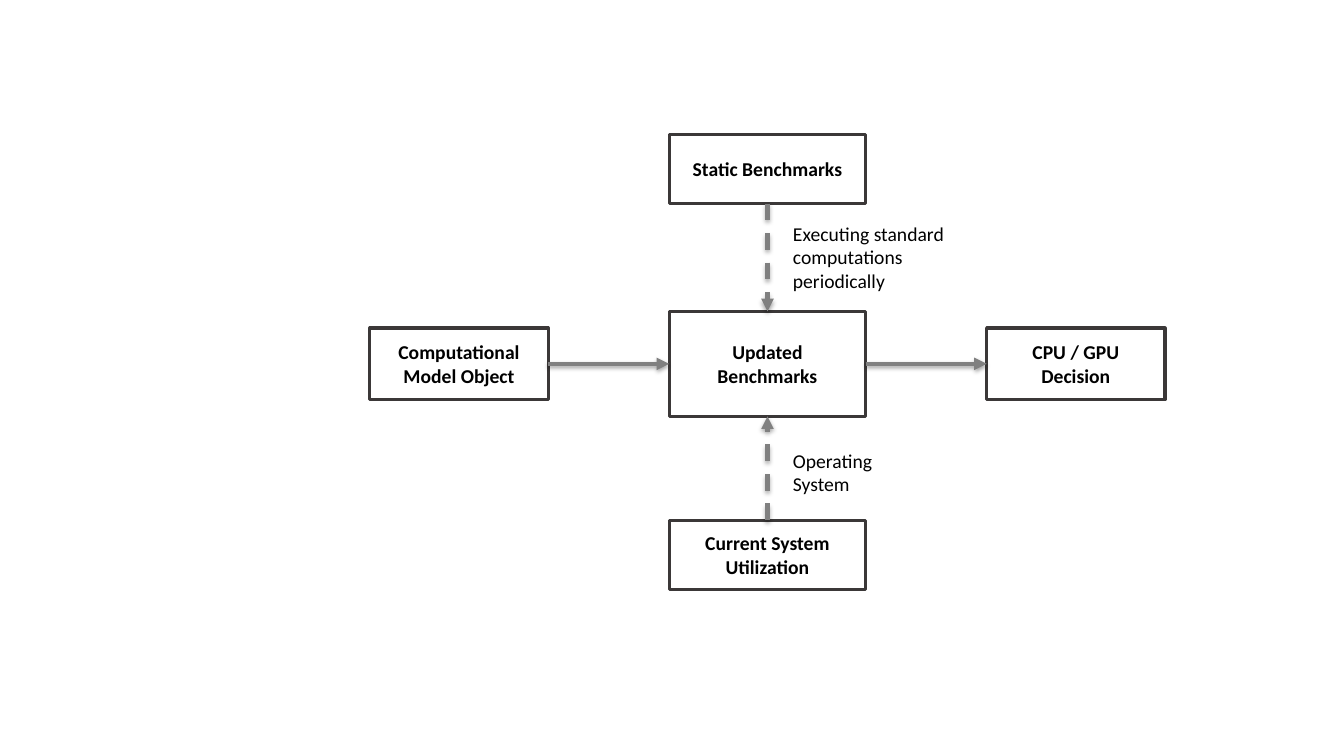
from lxml import etree
from pptx import Presentation
from pptx.dml.color import RGBColor
from pptx.enum.dml import MSO_LINE
from pptx.enum.shapes import MSO_CONNECTOR, MSO_SHAPE
from pptx.enum.text import MSO_ANCHOR, MSO_AUTO_SIZE, PP_ALIGN
from pptx.oxml import parse_xml
from pptx.oxml.ns import nsdecls, qn
from pptx.util import Pt

RECTANGLE = MSO_SHAPE.RECTANGLE
STRAIGHT = MSO_CONNECTOR.STRAIGHT
DASH = MSO_LINE.DASH
MIDDLE = MSO_ANCHOR.MIDDLE
CENTER = PP_ALIGN.CENTER
LEFT = PP_ALIGN.LEFT
FIT_SHAPE = MSO_AUTO_SIZE.SHAPE_TO_FIT_TEXT
TOP_SIDE, LEFT_SIDE, BOTTOM_SIDE, RIGHT_SIDE = range(4)

COLORS = {"paper": "FFFFFF", "outline": "3B3838", "arrow": "808080", "text": "000000"}
FONT = {"name": "Calibri", "size": Pt(14)}
MARGINS = {"margin_left": Pt(7.2), "margin_right": Pt(7.2),
           "margin_top": Pt(3.6), "margin_bottom": Pt(3.6)}

DIAGRAM = (264.2, 95.8, 568, 325.4)
HUB_RISE = 164.1
SIDE_SIZE = (127.4, 51.2)
HUB_SIZE = (140.4, 75)
END_SIZE = (140.4, 49.7)
LABEL_GAP = 11.1

SHADOW = f"""<a:effectLst {nsdecls('a')}>
<a:outerShdw blurRad="{Pt(3.1)}" dist="{Pt(1.8)}" dir="5400000" rotWithShape="0">
<a:srgbClr val="000000"><a:alpha val="35000"/></a:srgbClr>
</a:outerShdw></a:effectLst>"""


def color(name):
    return RGBColor.from_string(COLORS[name])


def apply_format(target, values):
    for name, value in values.items():
        setattr(target, name, value)


def write_text(shape, lines, alignment, bold):
    frame = shape.text_frame
    apply_format(frame, {"word_wrap": True, **MARGINS})
    frame.text = "\n".join(lines)
    for paragraph in frame.paragraphs:
        paragraph.alignment = alignment
        font = paragraph.runs[0].font
        apply_format(font, {**FONT, "bold": bold})
        font.color.rgb = color("text")


def add_node(slide, center_x, center_y, size, *lines):
    width, height = size
    shape = slide.shapes.add_shape(
        RECTANGLE, Pt(center_x - width / 2), Pt(center_y - height / 2), Pt(width), Pt(height))
    shape.shadow.inherit = False
    shape.fill.solid()
    shape.fill.fore_color.rgb = color("paper")
    shape.line.color.rgb = color("outline")
    shape.line.width = Pt(2.25)
    write_text(shape, lines, CENTER, True)
    shape.text_frame.vertical_anchor = MIDDLE
    return shape


def add_arrow(slide, start, start_side, end, end_side, dash=None):
    arrow = slide.shapes.add_connector(STRAIGHT, 0, 0, 0, 0)
    arrow.begin_connect(start, start_side)
    arrow.end_connect(end, end_side)
    arrow.line.color.rgb = color("arrow")
    apply_format(arrow.line, {"width": Pt(3), "dash_style": dash})
    properties = arrow.element.spPr
    etree.SubElement(properties.find(qn("a:ln")), qn("a:tailEnd"), type="triangle")
    properties.append(parse_xml(SHADOW))


def add_label(slide, left, top, width, height, text):
    label = slide.shapes.add_textbox(Pt(left), Pt(top), Pt(width), Pt(height))
    write_text(label, [text], LEFT, False)
    label.text_frame.auto_size = FIT_SHAPE


def add_decision_diagram(slide, left, top, width, height):
    center_x = left + width / 2
    hub_y = top + HUB_RISE
    side_width, end_height = SIDE_SIZE[0], END_SIZE[1]

    model = add_node(slide, left + side_width / 2, hub_y, SIDE_SIZE, "Computational Model Object")
    hub = add_node(slide, center_x, hub_y, HUB_SIZE, "Updated", "Benchmarks")
    static = add_node(slide, center_x, top + end_height / 2, END_SIZE, "Static Benchmarks")
    current = add_node(slide, center_x, top + height - end_height / 2, END_SIZE,
                       "Current System Utilization")
    decision = add_node(slide, left + width - side_width / 2, hub_y, SIDE_SIZE,
                        "CPU / GPU", "Decision")

    add_arrow(slide, model, RIGHT_SIDE, hub, LEFT_SIDE)
    add_arrow(slide, static, BOTTOM_SIDE, hub, TOP_SIDE, DASH)
    add_arrow(slide, current, TOP_SIDE, hub, BOTTOM_SIDE, DASH)
    add_arrow(slide, hub, RIGHT_SIDE, decision, LEFT_SIDE)

    label_left = center_x + LABEL_GAP
    add_label(slide, label_left, top + 59, 128.2, 74.2,
              "Executing standard computations periodically")
    add_label(slide, label_left, top + 221, 93.6, 40.4, "Operating System")


def main():
    presentation = Presentation()
    apply_format(presentation, {"slide_width": Pt(960), "slide_height": Pt(540)})
    slide = presentation.slides.add_slide(presentation.slide_layouts[6])
    add_decision_diagram(slide, *DIAGRAM)
    presentation.save("out.pptx")


if __name__ == "__main__":
    main()
